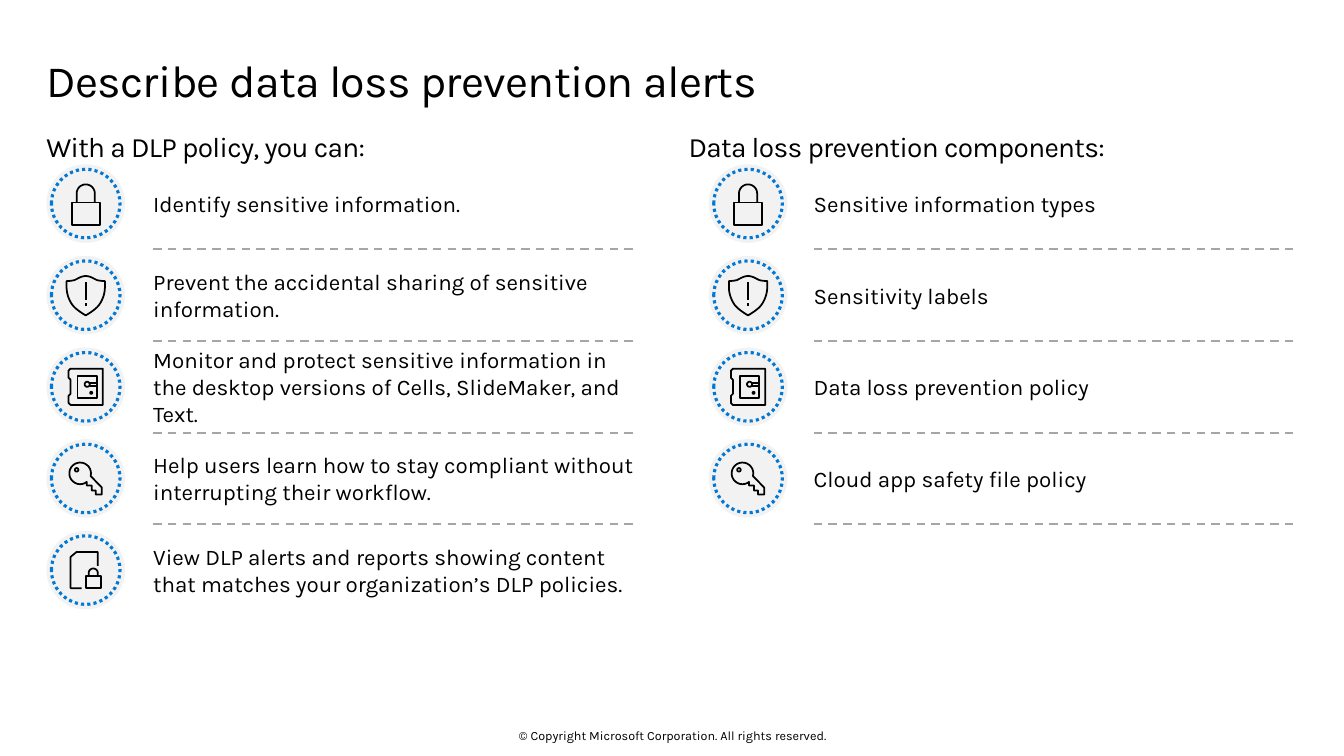
from dataclasses import dataclass
from math import cos, pi, sin

from lxml.etree import SubElement
from pptx import Presentation
from pptx.dml.color import RGBColor
from pptx.enum.dml import MSO_LINE
from pptx.enum.shapes import MSO_CONNECTOR as Connector, MSO_SHAPE as Shape
from pptx.enum.text import MSO_ANCHOR as Anchor, MSO_AUTO_SIZE as AutoSize, PP_ALIGN as Align
from pptx.oxml.ns import qn
from pptx.util import Inches, Pt


@dataclass(frozen=True)
class Theme:
    font: str = "Karla"
    ink: RGBColor = RGBColor(0x00, 0x00, 0x00)
    accent: RGBColor = RGBColor(0x00, 0x78, 0xD4)
    disc: RGBColor = RGBColor(0xF2, 0xF2, 0xF2)
    rule: RGBColor = RGBColor(0xA6, 0xA6, 0xA6)
    title: int = 32
    heading: int = 20
    body: int = 16
    footer: int = 9


def arc(x, y, radius, start=0.0, turn=2.0, steps=24):
    angles = [pi * (start + turn * step / steps) for step in range(steps + 1)]
    return [(x + radius * cos(angle), y + radius * sin(angle)) for angle in angles]


def curve(*controls, steps=10):
    (ax, ay), (bx, by), (cx, cy), (dx, dy) = controls
    points = []
    for step in range(steps + 1):
        t = step / steps
        weights = ((1 - t) ** 3, 3 * t * (1 - t) ** 2, 3 * t * t * (1 - t), t ** 3)
        points.append((sum(w * v for w, v in zip(weights, (ax, bx, cx, dx))),
                       sum(w * v for w, v in zip(weights, (ay, by, cy, dy)))))
    return points


def frame(left, top, right, bottom):
    return [(left, top), (right, top), (right, bottom), (left, bottom), (left, top)]


def shackle(x, y, radius, base):
    return [(x - radius, base), *arc(x, y, radius, 1, 1), (x + radius, base)]


def shield_outline():
    half = [
        *curve((0, 20), (0, 20), (-9, 15), (-13, 10)),
        *curve((-13, 10), (-19, 2), (-19, -7), (-19, -7)),
        *curve((-19, -14), (-19, -14), (-15, -14), (-11, -15)),
        *curve((-11, -15), (-7, -17), (-4, -19), (0, -19)),
    ]
    return half + [(-x, y) for x, y in reversed(half)]


LOCK = [frame(-14, -1, 14, 21), shackle(0, -10, 9, -1)]
SHIELD = [shield_outline(), [(0, -13), (0, 5)], [(0, 8), (0, 11)]]
SAFE = [
    [(17, -18), (17, 18), (-15, 18), (-17, 16), (-17, 9), (-15, 7), (-15, -7),
     (-17, -9), (-17, -16), (-15, -18), (17, -18)],
    frame(-8, -11, 11, 11),
    arc(1.5, -2.5, 2.5),
    arc(5.5, 6, 1),
    [(4, -4), (11, -4)],
    [(4, -1), (11, -1)],
]
KEY = [
    [*arc(-5.5, -5, 10.75, 0.28, 1.8), (16, 9), (16, 16), (10, 16), (10, 12),
     (6, 12), (6, 7), (1, 7), (1, 3)],
    arc(-9, -8.5, 1.75),
]
DOCUMENT = [
    [(-4, 18), (-15, 18), (-15, -13), (-9, -18), (12, -18), (12, -4)],
    frame(0, 6, 15, 18),
    shackle(7.5, 3, 4.5, 6),
]


class SlideWriter:
    def __init__(self, deck, theme):
        self.theme = theme
        self.width, self.height = deck.slide_width, deck.slide_height
        self.page = deck.slides.add_slide(deck.slide_layouts[5])

    def across(self, percent):
        return round(self.width * percent / 100)

    def down(self, percent):
        return round(self.height * percent / 100)

    def fill_text(self, box, text, size, anchor, align=Align.LEFT, tracking=None):
        text_frame = box.text_frame
        text_frame.text = text
        text_frame.word_wrap = True
        text_frame.auto_size = AutoSize.NONE
        text_frame.vertical_anchor = anchor
        text_frame.margin_left = text_frame.margin_right = 0
        text_frame.margin_top = text_frame.margin_bottom = 0
        para = text_frame.paragraphs[0]
        para.alignment = align
        for span in para.runs:
            span.font.name = self.theme.font
            span.font.size = Pt(size)
            span.font.color.rgb = self.theme.ink
            if tracking is not None:
                span.font._element.set("spc", str(tracking))
        return para

    def title(self, text, left, top, width, height):
        box = self.page.shapes.title
        box.left, box.top = self.across(left), self.down(top)
        box.width, box.height = self.across(width), self.down(height)
        para = self.fill_text(box, text, self.theme.title, Anchor.TOP, tracking=-50)
        para.line_spacing = 0.9
        box.text_frame.margin_top = box.text_frame.margin_bottom = Inches(0.1)

    def text(self, text, left, top, width, height, size, anchor=Anchor.MIDDLE, **style):
        box = self.page.shapes.add_textbox(
            self.across(left), self.down(top), self.across(width), self.down(height))
        self.fill_text(box, text, size, anchor, **style)

    def rule(self, left, top, width):
        y = self.down(top)
        line = self.page.shapes.add_connector(
            Connector.STRAIGHT, self.across(left), y, self.across(left + width), y)
        line.line.color.rgb = self.theme.rule
        line.line.width = Pt(1.5)
        line.line.dash_style = MSO_LINE.DASH
        SubElement(line._element.spPr, qn("a:effectLst"))

    def disc(self, group, x, y, diameter):
        size = self.down(diameter)
        circle = group.shapes.add_shape(Shape.OVAL, x - size // 2, y - size // 2, size, size)
        circle.shadow.inherit = False
        return circle

    def badge(self, icon, center, middle):
        x, y = self.across(center), self.down(middle)
        group = self.page.shapes.add_group_shape()
        plate = self.disc(group, x, y, 10.4)
        plate.fill.solid()
        plate.fill.fore_color.rgb = self.theme.disc
        plate.line.fill.background()
        ring = self.disc(group, x, y, 9.07)
        ring.fill.background()
        ring.line.color.rgb = self.theme.accent
        ring.line.width = Pt(2.25)
        ring.line.dash_style = MSO_LINE.ROUND_DOT

        unit = self.height / 750
        strokes = [[(px * unit, py * unit) for px, py in stroke] for stroke in icon]
        pen = group.shapes.build_freeform(*strokes[0][0], scale=1.0)
        for index, stroke in enumerate(strokes):
            if index:
                pen.move_to(*stroke[0])
            pen.add_line_segments(stroke[1:], close=stroke[0] == stroke[-1])
        drawing = pen.convert_to_shape(x, y)
        drawing.shadow.inherit = False
        drawing.fill.background()
        drawing.line.color.rgb = self.theme.ink
        drawing.line.width = Pt(1.25)

    def icon_list(self, heading, items, heading_left, badge_center, text_left, rule_count):
        self.text(heading, heading_left, 17.07, 45, 4.53, self.theme.heading,
                  Anchor.TOP, tracking=-50)
        for row, (icon, text) in enumerate(items):
            middle = 26.93 + 12.12 * row
            self.badge(icon, badge_center, middle)
            self.text(text, text_left, middle - 4.8, 36, 9.6, self.theme.body)
            if row < rule_count:
                self.rule(text_left, middle + 6.05, 36.15)


def main():
    deck = Presentation()
    deck.slide_width, deck.slide_height = Inches(13.33), Inches(7.5)
    theme = Theme()
    writer = SlideWriter(deck, theme)
    writer.title("Describe data loss prevention alerts", 3.45, 6.4, 93, 9.87)
    writer.icon_list("With a DLP policy, you can:", [
        (LOCK, "Identify sensitive information."),
        (SHIELD, "Prevent the accidental sharing of sensitive information."),
        (SAFE, "Monitor and protect sensitive information in the desktop versions of "
               "Cells, SlideMaker, and Text."),
        (KEY, "Help users learn how to stay compliant without interrupting their workflow."),
        (DOCUMENT, "View DLP alerts and reports showing content that matches your "
                   "organization’s DLP policies."),
    ], heading_left=3.45, badge_center=6.38, text_left=11.4, rule_count=4)
    writer.icon_list("Data loss prevention components:", [
        (LOCK, "Sensitive information types"),
        (SHIELD, "Sensitivity labels"),
        (SAFE, "Data loss prevention policy"),
        (KEY, "Cloud app safety file policy"),
    ], heading_left=51.24, badge_center=55.66, text_left=60.54, rule_count=4)
    writer.text("© Copyright Microsoft Corporation. All rights reserved.",
                33.16, 96.27, 33.76, 2, theme.footer, align=Align.CENTER)
    deck.save("out.pptx")


if __name__ == "__main__":
    main()
